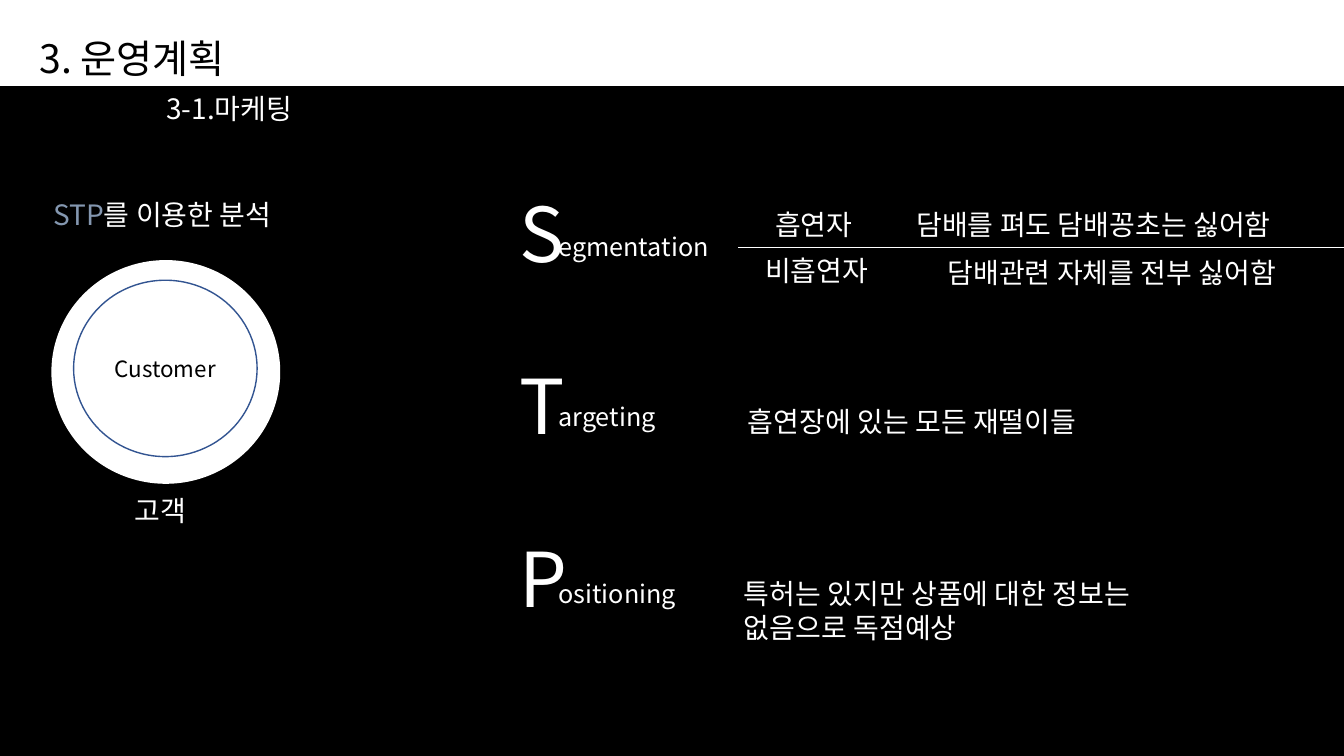
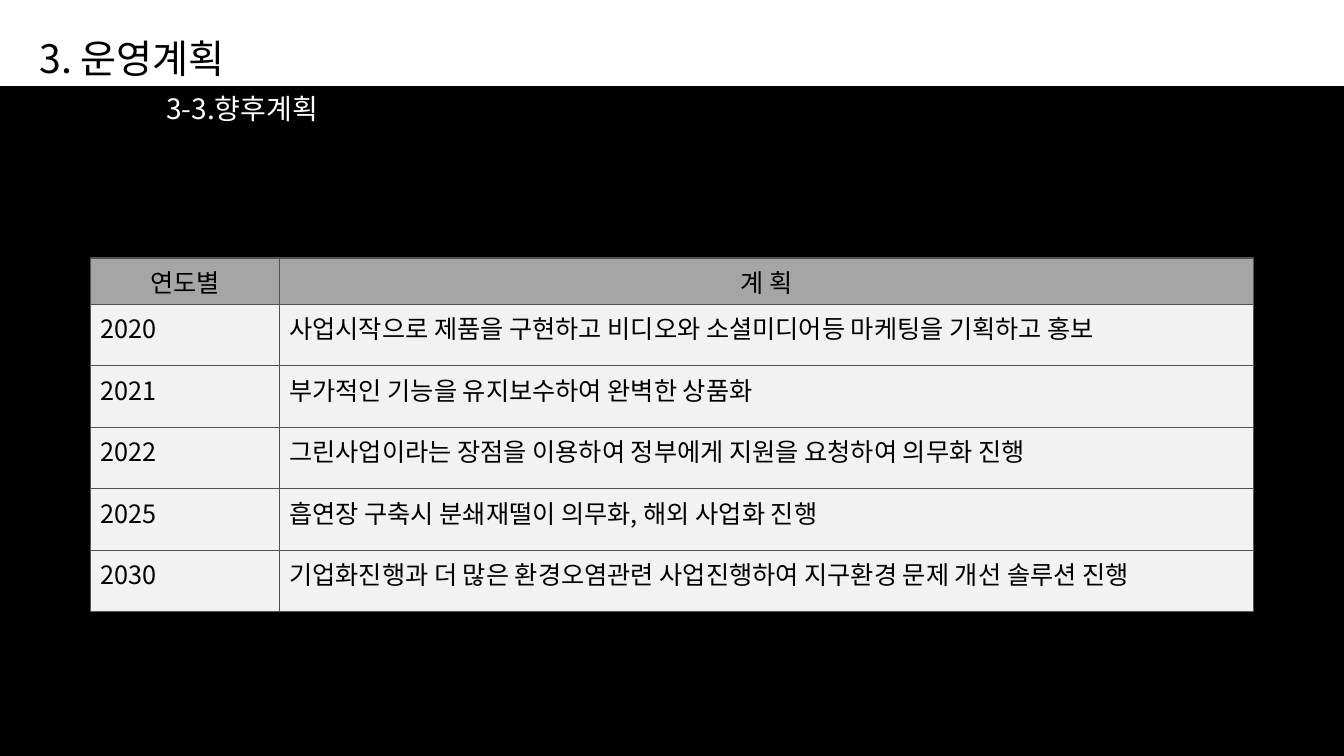
from lxml import etree
from pptx import Presentation
from pptx.dml.color import RGBColor
from pptx.enum import shapes, text
from pptx.oxml.ns import qn
from pptx.util import Inches, Pt

FONT = "Noto Sans CJK KR"
BLACK, WHITE = "000000", "FFFFFF"
ACCENT, RING = "8497B0", "325491"
HEADER, CELL, BORDER = "A5A5A5", "F2F2F2", "525252"
WIDTH, HEIGHT, BAND_TOP = 13.33, 7.5, 0.86


def color(value):
    return RGBColor.from_string(value)


class Deck:
    """Holds the shared style and the slide being built."""

    def __init__(self):
        self.presentation = Presentation()
        self.presentation.slide_width = Inches(WIDTH)
        self.presentation.slide_height = Inches(HEIGHT)
        self.slide = None

    def add_slide(self, title, subtitle):
        self.slide = self.presentation.slides.add_slide(self.presentation.slide_layouts[5])
        self.shape(shapes.MSO_SHAPE.RECTANGLE, 0, BAND_TOP, WIDTH, HEIGHT - BAND_TOP,
                   fill=BLACK, line=BLACK)
        placeholder = self.slide.shapes.title
        placeholder.left, placeholder.top = Inches(0.29), Inches(0.29)
        placeholder.width, placeholder.height = Inches(2.23), Inches(0.57)
        frame = placeholder.text_frame
        frame.text = title
        frame.vertical_anchor = text.MSO_ANCHOR.TOP
        frame.auto_size = text.MSO_AUTO_SIZE.NONE
        self.format(frame, 28, BLACK)
        self.text(subtitle, 1.55, BAND_TOP, 3.28)

    def format(self, frame, size, font_color, align=text.PP_ALIGN.LEFT):
        for paragraph in frame.paragraphs:
            paragraph.alignment = align
            for run in paragraph.runs:
                run.font.size = Pt(size)
                run.font.name = FONT
                run.font.color.rgb = color(font_color)
                east_asian = etree.SubElement(run.font._element, qn("a:ea"))
                east_asian.set("typeface", FONT)

    def text(self, content, left, top, width, height=0.44, size=20):
        box = self.slide.shapes.add_textbox(Inches(left), Inches(top),
                                            Inches(width), Inches(height))
        frame = box.text_frame
        frame.word_wrap = True
        frame.auto_size = text.MSO_AUTO_SIZE.SHAPE_TO_FIT_TEXT
        frame.text = content
        self.format(frame, size, WHITE)
        return frame

    def shape(self, kind, left, top, width, height, fill=None, line=None):
        shape = self.slide.shapes.add_shape(kind, Inches(left), Inches(top),
                                            Inches(width), Inches(height))
        shape.shadow.inherit = False
        if fill:
            shape.fill.solid()
            shape.fill.fore_color.rgb = color(fill)
        else:
            shape.fill.background()
        if line:
            shape.line.color.rgb = color(line)
            shape.line.width = Pt(1)
        else:
            shape.line.fill.background()
        return shape

    def rule(self, left, right, top):
        connector = self.slide.shapes.add_connector(
            shapes.MSO_CONNECTOR.STRAIGHT, Inches(left), Inches(top), Inches(right), Inches(top))
        connector.line.color.rgb = color(WHITE)
        connector.line.width = Pt(0.5)
        etree.SubElement(connector._element.spPr, qn("a:effectLst"))

    def border(self, cell):
        properties = cell._tc.get_or_add_tcPr()
        for side in ("a:lnL", "a:lnR", "a:lnT", "a:lnB"):
            line = etree.SubElement(properties, qn(side), w=str(Pt(1)))
            fill = etree.SubElement(line, qn("a:solidFill"))
            etree.SubElement(fill, qn("a:srgbClr"), val=BORDER)

    def table(self, rows, left, top, column_widths, header_height, row_height):
        height = header_height + row_height * (len(rows) - 1)
        table = self.slide.shapes.add_table(
            len(rows), len(column_widths), Inches(left), Inches(top),
            Inches(sum(column_widths)), Inches(height)).table
        table.first_row = table.horz_banding = False
        for column, width in zip(table.columns, column_widths):
            column.width = Inches(width)
        for index, values in enumerate(rows):
            is_header = index == 0
            table.rows[index].height = Inches(header_height if is_header else row_height)
            for cell, value in zip(table.rows[index].cells, values):
                self.border(cell)
                cell.fill.solid()
                cell.fill.fore_color.rgb = color(HEADER if is_header else CELL)
                cell.text_frame.text = value
                self.format(cell.text_frame, 18, BLACK,
                            text.PP_ALIGN.CENTER if is_header else text.PP_ALIGN.LEFT)


def build_marketing(deck):
    deck.add_slide("3. 운영계획", "3-1.마케팅")

    deck.shape(shapes.MSO_SHAPE.OVAL, 0.51, 2.58, 2.27, 2.22, fill=WHITE)
    customer = deck.shape(shapes.MSO_SHAPE.OVAL, 0.73, 2.78, 1.82, 1.75, line=RING)
    customer.text_frame.text = "Customer"
    customer.text_frame.vertical_anchor = text.MSO_ANCHOR.MIDDLE
    deck.format(customer.text_frame, 16, BLACK, text.PP_ALIGN.CENTER)
    deck.text("고객", 1.24, 4.85, 0.81)

    heading = deck.text("STP", 0.43, 1.91, 2.59)
    heading.paragraphs[0].add_run().text = "를 이용한 분석"
    deck.format(heading, 20, WHITE)
    heading.paragraphs[0].runs[0].font.color.rgb = color(ACCENT)

    for initial, initial_top, rest, rest_top in (
            ("S", 1.8, "egmentation", 2.25),
            ("T", 3.51, "argeting", 3.93),
            ("P", 5.23, "ositioning", 5.69)):
        deck.text(initial, 5.05, initial_top, 0.65, 1.01, 54)
        deck.text(rest, 5.44, rest_top, 2.45, 0.4, 18)

    deck.text("흡연자", 7.59, 2.01, 1.13)
    deck.text("담배를 펴도 담배꽁초는 싫어함", 8.99, 2.01, 4.22)
    deck.rule(7.32, WIDTH, 2.45)
    deck.text("비흡연자", 7.49, 2.47, 1.33)
    deck.text("담배관련 자체를 전부 싫어함", 9.3, 2.49, 4.03)
    deck.text("흡연장에 있는 모든 재떨이들", 7.32, 3.96, 4.97)
    deck.text("특허는 있지만 상품에 대한 정보는\n없음으로 독점예상", 7.28, 5.67, 5.61, 0.77)


def build_future_plan(deck):
    deck.add_slide("3. 운영계획", "3-3.향후계획")
    plans = (
        ("연도별", "계 획"),
        ("2020", "사업시작으로 제품을 구현하고 비디오와 소셜미디어등 마케팅을 기획하고 홍보"),
        ("2021", "부가적인 기능을 유지보수하여 완벽한 상품화"),
        ("2022", "그린사업이라는 장점을 이용하여 정부에게 지원을 요청하여 의무화 진행"),
        ("2025", "흡연장 구축시 분쇄재떨이 의무화, 해외 사업화 진행"),
        ("2030", "기업화진행과 더 많은 환경오염관련 사업진행하여 지구환경 문제 개선 솔루션 진행"),
    )
    deck.table(plans, 0.9, 2.56, (1.87, 9.66), 0.46, 0.61)


def main():
    deck = Deck()
    build_marketing(deck)
    build_future_plan(deck)
    deck.presentation.save("out.pptx")


if __name__ == "__main__":
    main()
